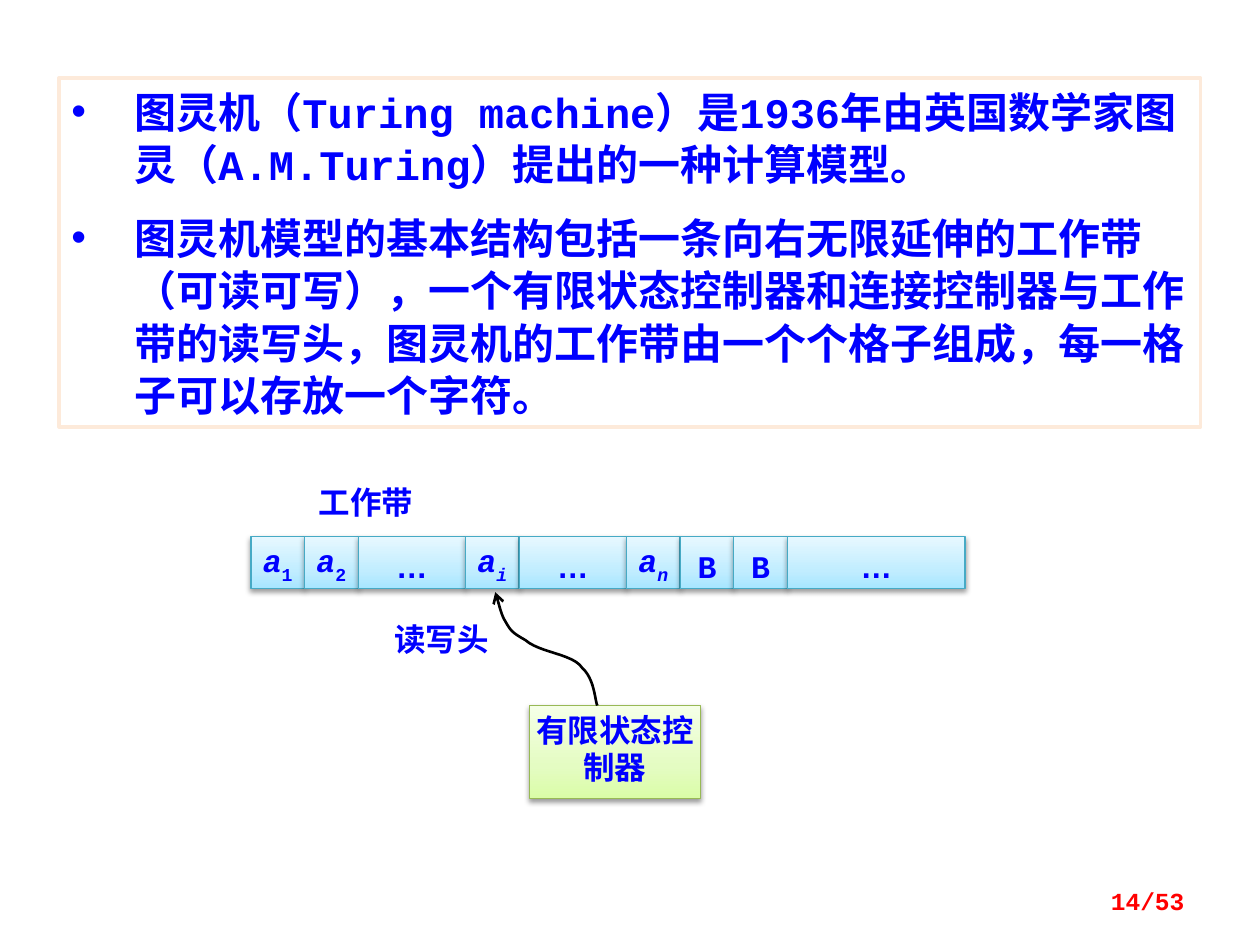
from lxml.etree import SubElement as Sub
from pptx import Presentation
from pptx.dml.color import RGBColor as Rgb
from pptx.enum.shapes import MSO_SHAPE as Kind
from pptx.enum.text import MSO_ANCHOR as Anchor, PP_ALIGN as Align
from pptx.oxml.ns import qn
from pptx.util import Pt

THEME = dict(
    ink="0000FF", page="FF0000", frame="FDEADA", paper="FFFFFF", wire="000000",
    tape=("46AAC5", ("A7E6FF", "C1EDFF", "E7F8FF")),
    unit=("98B955", ("DAFDA7", "E4FCC2", "F5FFE7")),
    face="Courier New", dots="Arial", body=24, label=18, foot=14,
)
POINTS = [
    "图灵机（Turing machine）是1936年由英国数学家图灵（A.M.Turing）提出的一种计算模型。",
    "图灵机模型的基本结构包括一条向右无限延伸的工作带（可读可写），一个有限状态控制器和连接控制器与工作带的读写头，"
    "图灵机的工作带由一个个格子组成，每一格子可以存放一个字符。",
]
LABELS = [("工作带", 172.8, 275.8), ("读写头", 216, 354.2)]
CELLS = [
    ("a", "1", 1), ("a", "2", 1), ("…", "", 2), ("a", "i", 1), ("…", "", 2),
    ("a", "n", 1), ("B", "", 1), ("B", "", 1), ("…", "", 3.31),
]
LEFT, TOP, STEP, HIGH = 143.4, 306.7, 30.66, 29.7
START = (341.3, 403.2)
CURVES = [
    ((339.8, 399.6), (339.8, 388.1), (332.6, 381.6)),
    ((327.6, 373.7), (308.2, 373), (300.2, 365.8)),
    ((292.3, 361.4), (291.6, 360), (288.7, 355)),
    ((285.8, 350.6), (284.4, 341.3), (283, 338.4)),
]


def style(para, size, face=THEME["face"], ink=THEME["ink"], align=Align.CENTER):
    """Set the font and alignment of a paragraph."""
    font = para.font
    font.name, font.size, font.bold = face, Pt(size), True
    font.color.rgb = Rgb.from_string(ink)
    para.alignment = align


def box(shapes, x, y, w, h, fill=None, inset=(0, 0, 0, 0)):
    """Add a plain rectangle with top-anchored text."""
    shape = shapes.add_shape(Kind.RECTANGLE, Pt(x), Pt(y), Pt(w), Pt(h))
    shape.shadow.inherit = False
    shape.line.fill.background()
    if fill:
        shape.fill.solid()
        shape.fill.fore_color.rgb = Rgb.from_string(fill)
    frame = shape.text_frame
    frame.word_wrap = True
    frame.vertical_anchor = Anchor.TOP
    frame.margin_left, frame.margin_top, frame.margin_right, frame.margin_bottom = map(Pt, inset)
    return shape


def glossy(shapes, x, y, w, h, look, top):
    """Add a rectangle with a gradient, an outline and a soft shadow."""
    edge, tints = look
    shape = box(shapes, x, y, w, h, inset=(0, top, 0, 0))
    shape.line.color.rgb = Rgb.from_string(edge)
    shape.line.width = Pt(0.75)
    shape.fill.gradient()
    shape.fill.gradient_angle = 90
    props = shape.element.spPr
    stops = props.find(".//" + qn("a:gsLst"))
    stops.clear()
    for place, tint in zip((0, 35, 100), tints):
        stop = Sub(stops, qn("a:gs"), pos=str(place * 1000))
        Sub(stop, qn("a:srgbClr"), val=tint)
    cast = Sub(props.find(qn("a:effectLst")), qn("a:outerShdw"), blurRad=str(Pt(3.1)),
               dist=str(Pt(1.6)), dir="5400000", rotWithShape="0")
    tone = Sub(cast, qn("a:srgbClr"), val=THEME["wire"])
    Sub(tone, qn("a:alpha"), val="38000")
    return shape


def intro(shapes):
    """Add the framed bullet list."""
    shape = box(shapes, 33.8, 44.6, 652.3, 199.4, THEME["paper"], (7.2, 3.6, 7.2, 3.6))
    shape.line.color.rgb = Rgb.from_string(THEME["frame"])
    shape.line.width = Pt(2)
    frame = shape.text_frame
    for i, text in enumerate(POINTS):
        para = frame.add_paragraph() if i else frame.paragraphs[0]
        para.text = text
        props = para._p.get_or_add_pPr()
        props.set("marL", str(Pt(36)))
        props.set("indent", str(-Pt(36)))
        Sub(props, qn("a:buFont"), typeface=THEME["dots"])
        Sub(props, qn("a:buChar"), char="•")
        style(para, THEME["body"], align=Align.LEFT)
        para.line_spacing = Pt(30)
        if i:
            para.space_before = Pt(12)


def tape(shapes):
    """Add the row of tape cells."""
    x = LEFT
    for sign, sub, span in CELLS:
        shape = glossy(shapes, x, TOP, span * STEP, HIGH, THEME["tape"], 0.7)
        para = shape.text_frame.paragraphs[0]
        style(para, THEME["label"], THEME["dots"] if sign == "…" else THEME["face"])
        para.line_spacing = Pt(27)
        run = para.add_run()
        run.text = sign
        if sub:
            run.font.italic = True
            low = para.add_run()
            low.text = sub
            low.font.italic = sub.isalpha()
            low.font._element.set("baseline", "-30000")
        x += span * STEP


def trace(start, curves, count=12):
    """Return points along a chain of cubic curves."""
    out = []
    for a, b, end in curves:
        for k in range(1, count + 1):
            t = k / count
            u = 1 - t
            out.append(tuple(
                Pt(u**3 * p + 3 * u * u * t * q + 3 * u * t * t * r + t**3 * s)
                for p, q, r, s in zip(start, a, b, end)))
        start = end
    return out


def head(shapes):
    """Add the curved arrow from the controller to the tape."""
    path = shapes.build_freeform(Pt(START[0]), Pt(START[1]))
    path.add_line_segments(trace(START, CURVES), close=False)
    shape = path.convert_to_shape()
    shape.shadow.inherit = False
    shape.fill.background()
    shape.line.color.rgb = Rgb.from_string(THEME["wire"])
    shape.line.width = Pt(1.5)
    Sub(shape.line._get_or_add_ln(), qn("a:tailEnd"), type="arrow")


def main():
    """Build the Turing machine slide."""
    deck = Presentation()
    deck.slide_width, deck.slide_height = Pt(720), Pt(540)
    shapes = deck.slides.add_slide(deck.slide_layouts[6]).shapes
    intro(shapes)
    for text, x, y in LABELS:
        para = box(shapes, x, y, 72.7, 23.8, THEME["paper"]).text_frame.paragraphs[0]
        para.text = text
        style(para, THEME["label"])
    tape(shapes)
    unit = glossy(shapes, 302.4, 403.2, 97.9, 53.3, THEME["unit"], 2.9)
    para = unit.text_frame.paragraphs[0]
    para.text = "有限状态控制器"
    style(para, THEME["label"])
    head(shapes)
    foot = shapes.add_textbox(Pt(516.2), Pt(500.4), Pt(167.8), Pt(28.8)).text_frame
    foot.word_wrap = True
    foot.vertical_anchor = Anchor.MIDDLE
    foot.text = "14/53"
    style(foot.paragraphs[0], THEME["foot"], ink=THEME["page"], align=Align.RIGHT)
    deck.save("out.pptx")


if __name__ == "__main__":
    main()
